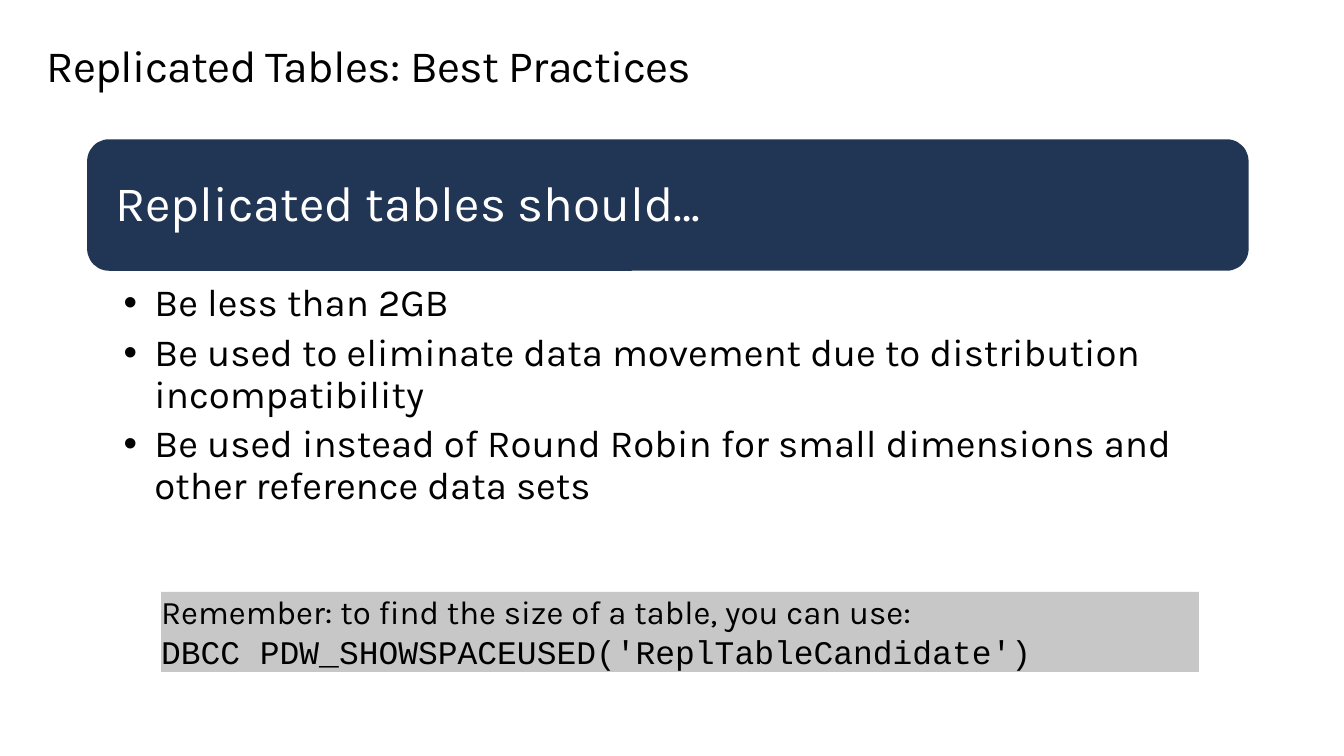
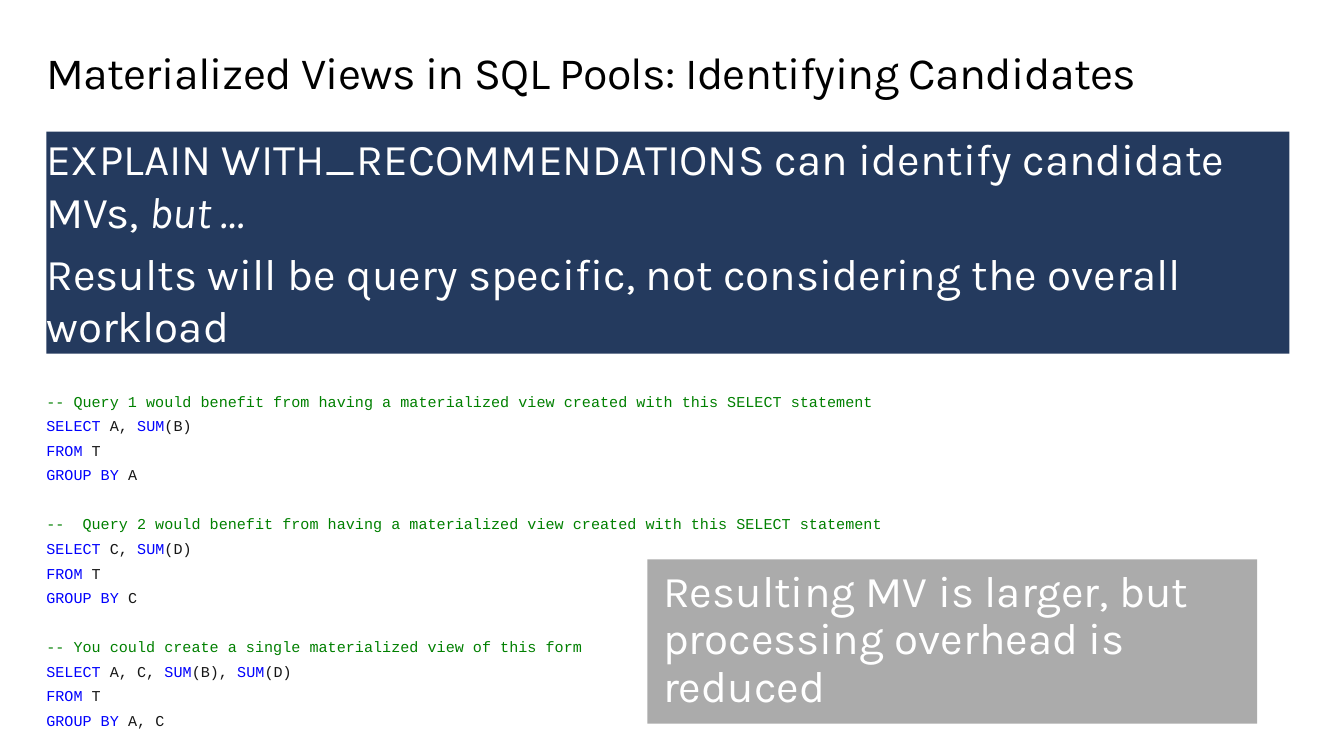
from pptx import Presentation
from pptx import util as u
from pptx.dml.color import RGBColor
from pptx.enum import shapes, text
from pptx.oxml.ns import qn
from lxml import etree

NAVY, BAND = "213555", "243A5E"
PALE, GREY = "C7C7C7", "ABABAB"
BLACK, WHITE = "000000", "FFFFFF"
GREEN, BLUE, INK = "008000", "0101FD", "171717"
SANS, MONO = "Karla", "Courier New"


def add_run(par, words, size, color, face=SANS, slant=False):
    run = par.add_run()
    run.text = words
    font = run.font
    font.size, font.name, font.italic = u.Pt(size), face, slant
    font.color.rgb = RGBColor.from_string(color)
    return run


def set_box(shape, place, pads=(0, 0, 0, 0), fill=None, anchor=text.MSO_ANCHOR.TOP):
    """Place a shape in cm, set its paddings and fill; return its text frame."""
    shape.left, shape.top, shape.width, shape.height = [u.Cm(n) for n in place]
    if fill:
        shape.fill.solid()
        shape.fill.fore_color.rgb = RGBColor.from_string(fill)
        shape.line.fill.background()
        shape.shadow.inherit = False
    frame = shape.text_frame
    frame.word_wrap = True
    frame.auto_size = text.MSO_AUTO_SIZE.NONE
    frame.vertical_anchor = anchor
    (frame.margin_left, frame.margin_top,
     frame.margin_right, frame.margin_bottom) = [u.Cm(n) for n in pads]
    frame.paragraphs[0].alignment = text.PP_ALIGN.LEFT
    return frame


deck = Presentation()
deck.slide_width, deck.slide_height = u.Cm(34.54), u.Cm(19.43)

# Slides and titles
pages = []
for title, top in [("Replicated Tables: Best Practices", 1.04),
                   ("Materialized Views in SQL Pools: Identifying Candidates", 1.24)]:
    page = deck.slides.add_slide(deck.slide_layouts[1])
    par = set_box(page.shapes.title, (1.19, top, 31.5, 1.32)).paragraphs[0]
    par.line_spacing = u.Pt(36.9)
    add_run(par, title, 32.6, BLACK).font._element.set("spc", "-50")
    pages.append(page)
tables, views = pages

# Replicated tables: heading, list, note
head = tables.shapes.add_shape(shapes.MSO_SHAPE.ROUNDED_RECTANGLE, 0, 0, 0, 0)
frame = set_box(head, (2.24, 3.58, 29.85, 3.38), (0.56, 0.38, 0.56, 0.38),
                NAVY, text.MSO_ANCHOR.MIDDLE)
par = frame.paragraphs[0]
par.line_spacing = 0.9
add_run(par, "Replicated tables should…", 36, WHITE)

frame = set_box(tables.placeholders[1], (2.24, 7.19, 29.85, 6.73), (0.94, 0.1, 0.56, 0.1))
points = ["Be less than 2GB",
          "Be used to eliminate data movement due to distribution incompatibility",
          "Be used instead of Round Robin for small dimensions and other reference data sets"]
for i, point in enumerate(points):
    par = frame.add_paragraph() if i else frame.paragraphs[0]
    props = par._p.get_or_add_pPr()
    props.set("marL", str(u.Cm(0.79)))
    props.set("indent", str(u.Cm(-0.79)))
    etree.SubElement(props, qn("a:buChar")).set("char", "•")
    par.line_spacing, par.space_before, par.space_after = 0.9, u.Pt(0), u.Pt(6)
    add_run(par, point, 28, BLACK)

note = tables.shapes.add_shape(shapes.MSO_SHAPE.RECTANGLE, 0, 0, 0, 0)
frame = set_box(note, (4.14, 15.21, 26.67, 2.06), fill=PALE)
add_run(frame.paragraphs[0], "Remember: to find the size of a table, you can use:", 24, BLACK)
par = frame.add_paragraph()
par.alignment = text.PP_ALIGN.LEFT
add_run(par, "DBCC PDW_SHOWSPACEUSED('ReplTableCandidate')", 24, BLACK, MONO)

# Materialized views: band, code, remark
frame = set_box(views.placeholders[1], (1.19, 3.38, 31.95, 5.71), fill=BAND)
claims = [[("EXPLAIN WITH_RECOMMENDATIONS can identify candidate MVs, ", False),
           ("but …", True)],
          [("Results will be query specific, not considering the overall workload", False)]]
for i, claim in enumerate(claims):
    par = frame.add_paragraph() if i else frame.paragraphs[0]
    props = par._p.get_or_add_pPr()
    props.set("marL", "0")
    props.set("indent", "0")
    etree.SubElement(props, qn("a:buNone"))
    par.space_before = u.Pt(6.8 if i else 0)
    for words, slant in claim:
        add_run(par, words, 32, WHITE, slant=slant)

code = views.shapes.add_textbox(0, 0, 0, 0)
frame = set_box(code, (0.69, 9.73, 27.74, 9.53), (0.5, 0.4, 0.5, 0.4))
# Bars enclose the keywords
queries = [
    ("-- Query 1 would benefit from having a materialized view created with this SELECT statement",
     " A, |SUM|(B)", " A"),
    ("--  Query 2 would benefit from having a materialized view created with this SELECT statement",
     " C, |SUM|(D)", " C"),
    ("-- You could create a single materialized view of this form",
     " A, C, |SUM|(B), |SUM|(D)", " A, C")]
for i, (remark, picks, keys) in enumerate(queries):
    par = frame.add_paragraph() if i else frame.paragraphs[0]
    par.line_spacing, par.space_after = 0.9, u.Pt(6)
    par.space_before = u.Pt(17.9 if i else 0)
    add_run(par, remark, 11, GREEN, MONO)
    for line in ("|SELECT|" + picks, "|FROM| T", "|GROUP BY|" + keys):
        par = frame.add_paragraph()
        par.line_spacing, par.space_after = 0.9, u.Pt(6)
        for j, part in enumerate(line.split("|")):
            if part:
                add_run(par, part, 11, BLUE if j % 2 else INK, MONO)

gain = views.shapes.add_shape(shapes.MSO_SHAPE.RECTANGLE, 0, 0, 0, 0)
frame = set_box(gain, (16.64, 14.38, 15.67, 4.22), (0.4, 0.25, 0.4, 0.25), GREY)
par = frame.paragraphs[0]
par.line_spacing = 0.9
add_run(par, "Resulting MV is larger, but processing overhead is reduced", 32, WHITE)

deck.save("out.pptx")
